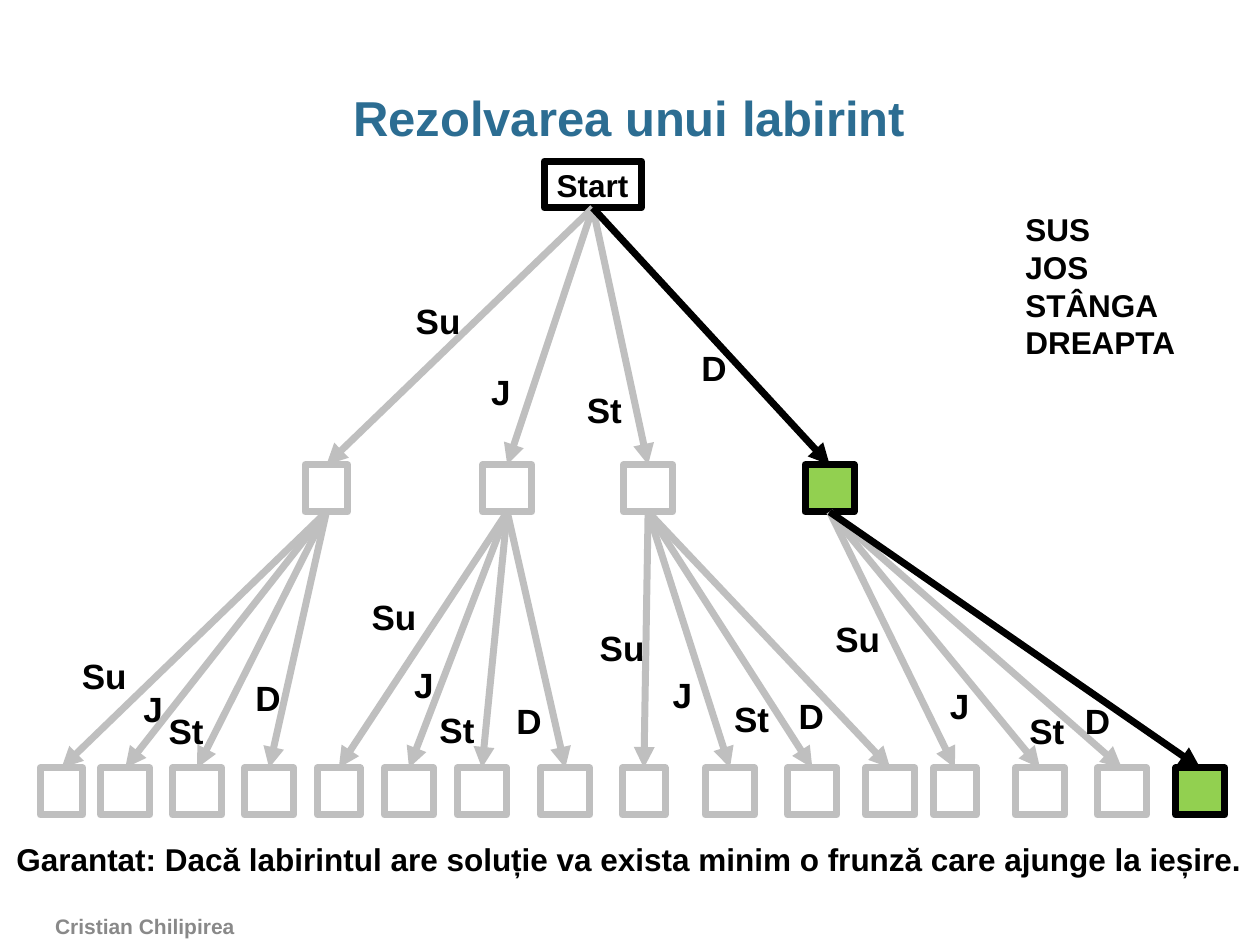
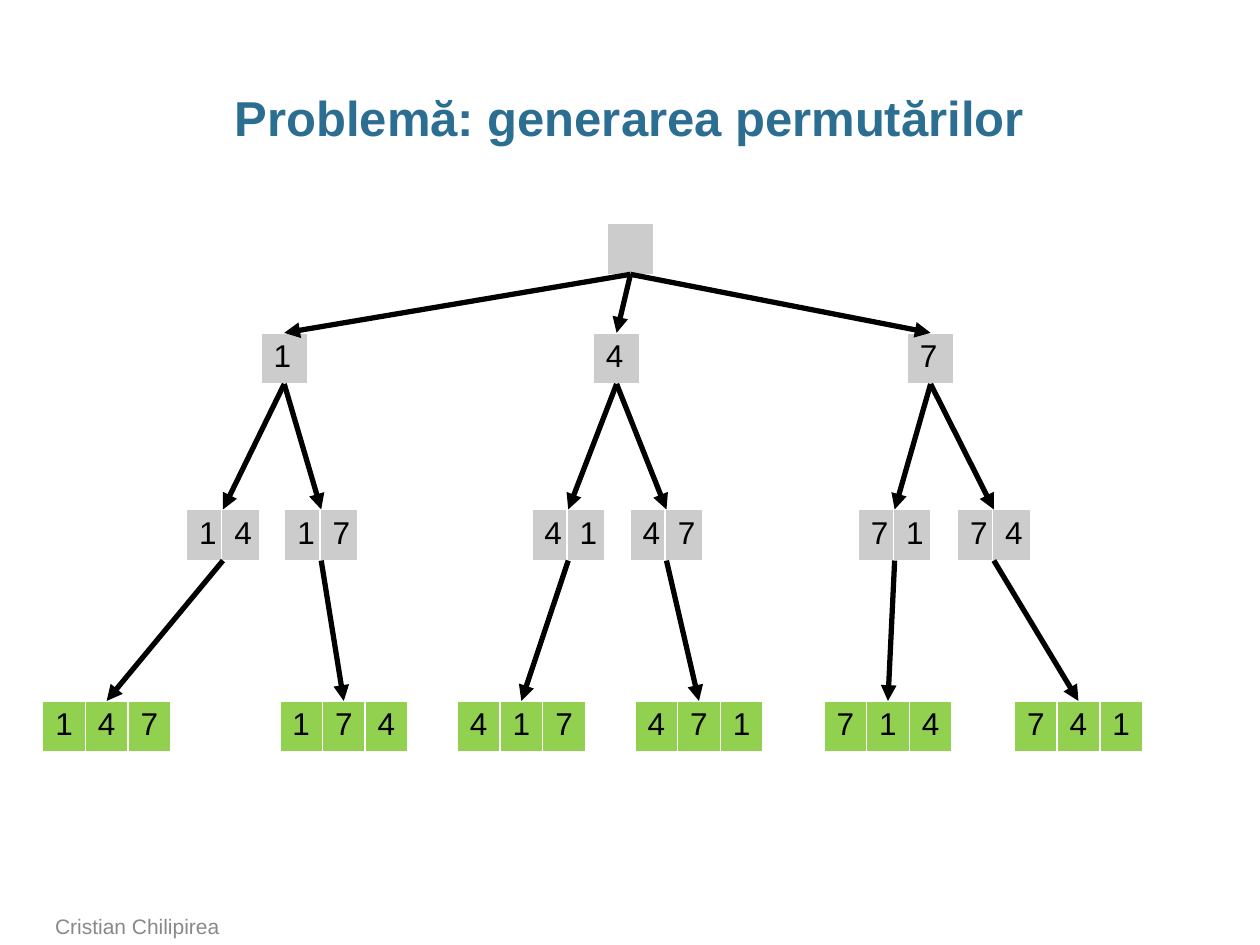
"""Build two slides on search trees: solving a maze and generating permutations."""
from lxml.etree import SubElement
from pptx import Presentation
from pptx.dml.color import RGBColor
from pptx.enum.shapes import MSO_CONNECTOR, MSO_SHAPE
from pptx.enum.text import MSO_ANCHOR, PP_ALIGN
from pptx.oxml import parse_xml
from pptx.oxml.ns import nsdecls, qn
from pptx.util import Cm, Pt

COLORS = {
    "title": "2C6D92",
    "text": "000000",
    "footer": "898989",
    "active": "000000",
    "inactive": "BFBFBF",
    "solution": "92D050",
    "partial": "CCCCCC",
    "border": "FFFFFF",
}
FONT = "Arial"
BOTTOM, TOP = 2, 0


class Deck:
    def __init__(self, prs):
        self.prs = prs
        self.s = None

    def color(self, name):
        return RGBColor.from_string(COLORS[name])

    def slide(self, title, footer_bold=False):
        self.s = self.prs.slides.add_slide(self.prs.slide_layouts[6])
        tf = self.text([title], 0.86, 1.73, 23.65, 1.27, 28, color="title")
        tf.margin_left = tf.margin_right = 0
        tf.paragraphs[0].alignment = PP_ALIGN.CENTER
        tf.paragraphs[0].line_spacing = 0.95
        tf = self.text(["Cristian Chilipirea"], 0.86, 18.34, 18.72, 0.71, 12,
                       bold=footer_bold, color="footer")
        tf.vertical_anchor = MSO_ANCHOR.BOTTOM

    def run(self, p, text, size, bold=True, color="text"):
        r = p.add_run()
        r.text = text
        r.font.name = FONT
        r.font.size = Pt(size)
        r.font.bold = bold
        r.font.color.rgb = self.color(color)

    def text(self, lines, x, y, w, h, size, bold=True, color="text", wrap=True):
        tf = self.s.shapes.add_textbox(Cm(x), Cm(y), Cm(w), Cm(h)).text_frame
        tf.word_wrap = wrap
        for i, line in enumerate(lines):
            p = tf.add_paragraph() if i else tf.paragraphs[0]
            self.run(p, line, size, bold, color)
        return tf

    def box(self, x, y, w, h, line="inactive", fill=None, text=None):
        sp = self.s.shapes.add_shape(MSO_SHAPE.RECTANGLE, Cm(x), Cm(y), Cm(w), Cm(h))
        sp.shadow.inherit = False
        sp.line.color.rgb = self.color(line)
        sp.line.width = Pt(4)
        if fill:
            sp.fill.solid()
            sp.fill.fore_color.rgb = self.color(fill)
        else:
            sp.fill.background()
        if text:
            tf = sp.text_frame
            tf.word_wrap = False
            tf.vertical_anchor = MSO_ANCHOR.MIDDLE
            tf.paragraphs[0].alignment = PP_ALIGN.LEFT
            self.run(tf.paragraphs[0], text, 18)
        return sp

    def table(self, values, x, y, widths, h, fill):
        frame = self.s.shapes.add_table(1, len(values), Cm(x), Cm(y),
                                        Cm(sum(widths)), Cm(h))
        tbl = frame.table
        tbl.first_row = tbl.horz_banding = False
        tbl.rows[0].height = Cm(h)
        for column, cell, width, value in zip(tbl.columns, tbl.rows[0].cells,
                                              widths, values):
            column.width = Cm(width)
            cell.fill.solid()
            cell.fill.fore_color.rgb = self.color(fill)
            self.borders(cell)
            if value:
                self.run(cell.text_frame.paragraphs[0], value, 18, bold=False)
        return frame

    def borders(self, cell):
        tcPr = cell._tc.get_or_add_tcPr()
        for i, side in enumerate("LRTB"):
            tcPr.insert(i, parse_xml(
                f'<a:ln{side} {nsdecls("a")} w="{Pt(1)}"><a:solidFill>'
                f'<a:srgbClr val="{COLORS["border"]}"/></a:solidFill></a:ln{side}>'))

    def arrow(self, parent, child, color="active", width=3):
        cxn = self.s.shapes.add_connector(
            MSO_CONNECTOR.STRAIGHT,
            parent.left + parent.width // 2, parent.top + parent.height,
            child.left + child.width // 2, child.top)
        if not parent.has_table:
            cxn.begin_connect(parent, BOTTOM)
            cxn.end_connect(child, TOP)
        cxn.line.color.rgb = self.color(color)
        cxn.line.width = Pt(width)
        SubElement(cxn.line._get_or_add_ln(), qn("a:tailEnd"), type="triangle")
        SubElement(cxn._element.spPr, qn("a:effectLst"))


def maze_slide(deck):
    moves = [("Su", 1.42), ("J", 0.91), ("St", 1.22), ("D", 1.04)]
    node_widths = [0.86, 0.99, 0.99, 0.99]
    branch_x = [6.15, 9.73, 12.57, 16.23]
    leaf_x = [
        [0.81, 2.03, 3.48, 4.93],
        [6.4, 7.75, 9.22, 10.9],
        [12.55, 14.22, 15.88, 17.45],
        [18.82, 20.47, 22.12, 23.7],
    ]
    branch_labels = [(8.13, 5.92), (9.65, 7.34), (11.58, 7.7), (13.89, 6.86)]
    leaf_labels = [
        [(1.4, 13.06), (2.64, 13.74), (3.15, 14.17), (4.9, 13.51)],
        [(7.24, 11.89), (8.1, 13.26), (8.61, 14.15), (10.16, 13.97)],
        [(11.84, 12.5), (13.31, 13.46), (14.55, 13.94), (15.85, 13.87)],
        [(16.59, 12.32), (18.9, 13.67), (20.5, 14.17), (21.62, 13.97)],
    ]

    def expand(parent, lefts, y, labels, on_path):
        nodes = []
        for i, (x, w) in enumerate(zip(lefts, node_widths)):
            chosen = on_path and i == len(moves) - 1
            color = "active" if chosen else "inactive"
            node = deck.box(x, y, w, 0.95, color, "solution" if chosen else None)
            deck.arrow(parent, node, color, 4)
            nodes.append(node)
        for (move, w), (x, label_y) in zip(moves, labels):
            deck.text([move], x, label_y, w, 1.12, 20, wrap=False)
        return nodes

    deck.slide("Rezolvarea unui labirint", footer_bold=True)
    start = deck.box(10.97, 3.25, 1.96, 0.94, "active", text="Start")
    branches = expand(start, branch_x, 9.37, branch_labels, True)
    for branch, lefts, labels in zip(branches, leaf_x, leaf_labels):
        expand(branch, lefts, 15.48, labels, branch is branches[-1])
    deck.text(["SUS", "JOS", "STÂNGA", "DREAPTA"], 20.42, 4.11, 4.27, 3.33, 18)
    deck.text(["Garantat: Dacă labirintul are soluție va exista minim o frunză "
               "care ajunge la ieșire."], 0.08, 16.81, 25.45, 1.02, 18, wrap=False)


def permutations_slide(deck):
    level_y = [4.5, 6.71, 10.27, 14.13]
    level_widths = [[0.94], [0.94], [0.71, 0.76], [0.86] * 3]
    prefix_x = {
        "": 12.24,
        "1": 5.26, "4": 11.96, "7": 18.29,
        "14": 3.76, "17": 5.74, "41": 10.72, "47": 12.7, "71": 17.3, "74": 19.3,
        "147": 0.86, "174": 5.64, "417": 9.22, "471": 12.8, "714": 16.61, "741": 20.45,
    }

    deck.slide("Problemă: generarea permutărilor")
    tables = {}
    for prefix, x in prefix_x.items():
        level = len(prefix)
        fill = "solution" if level == 3 else "partial"
        tables[prefix] = deck.table(list(prefix) or [""], x, level_y[level],
                                    level_widths[level], 1.03, fill)
        if prefix:
            deck.arrow(tables[prefix[:-1]], tables[prefix])


def main():
    prs = Presentation()
    prs.slide_width, prs.slide_height = Cm(25.4), Cm(19.05)
    deck = Deck(prs)
    maze_slide(deck)
    permutations_slide(deck)
    prs.save("out.pptx")


if __name__ == "__main__":
    main()
